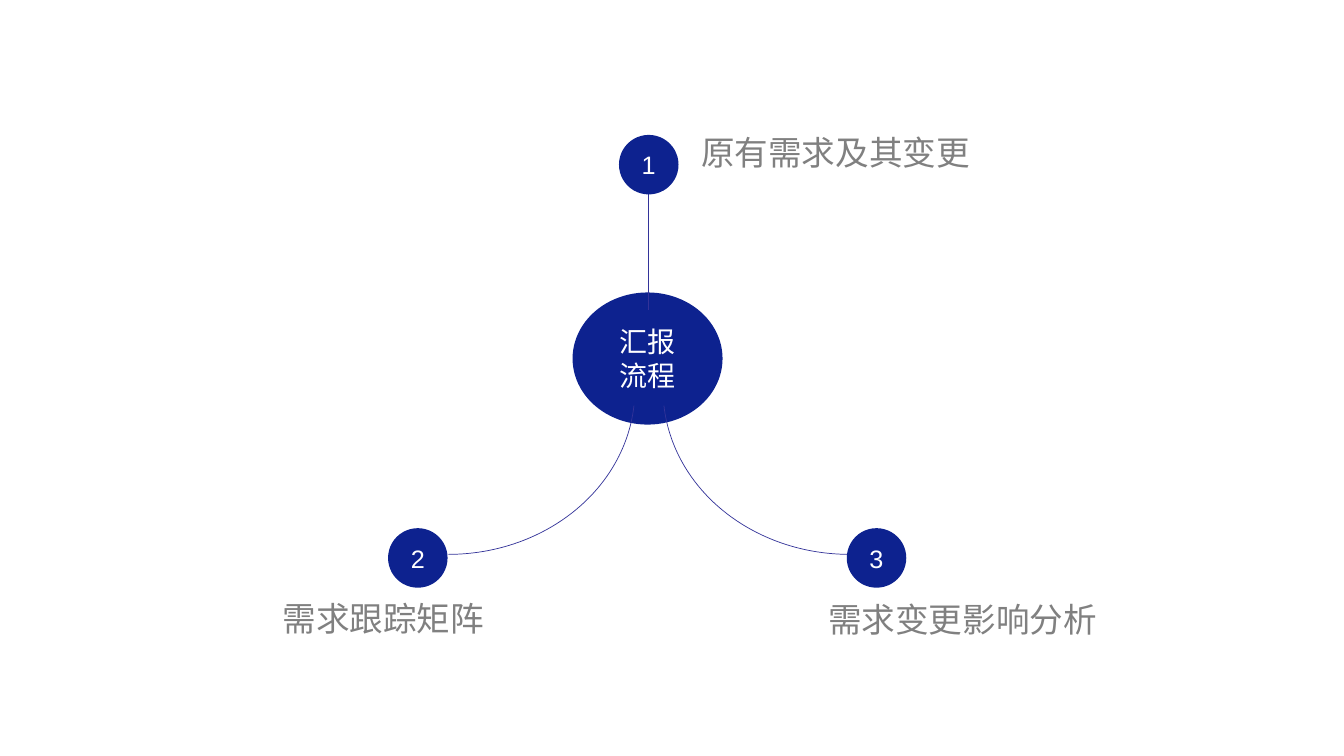
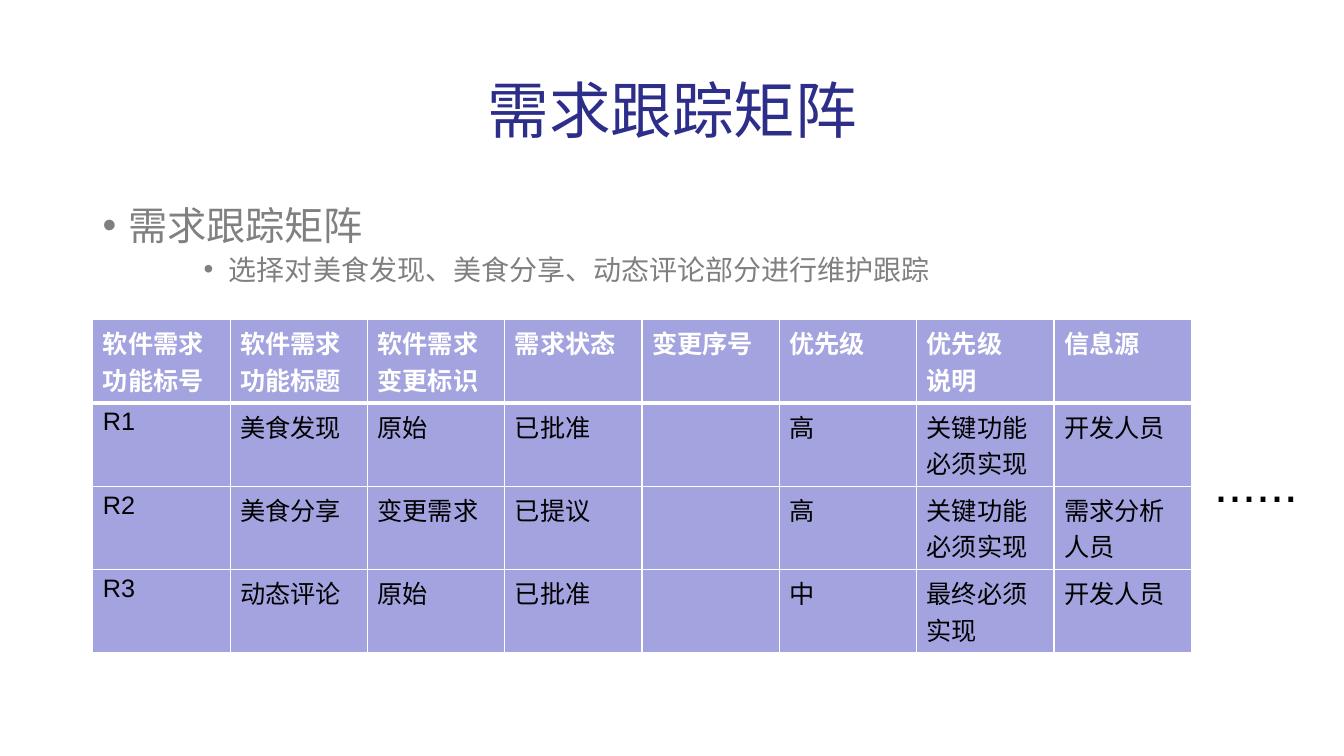
"""Build a report outline slide and a requirement tracking matrix slide."""
from lxml.etree import SubElement
from pptx import Presentation
from pptx.dml.color import RGBColor as Rgb
from pptx.enum.shapes import MSO_CONNECTOR as Link, MSO_SHAPE as Form
from pptx.enum.text import MSO_ANCHOR as Anchor, MSO_AUTO_SIZE as Fit, PP_ALIGN as Align
from pptx.oxml import parse_xml
from pptx.oxml.ns import nsdecls, qn
from pptx.util import Cm, Pt

FONT = "Arial"
HUE = {"navy": "0D228F", "line": "333399", "title": "2D2D8A", "gray": "808080",
       "cell": "A3A3E0", "white": "FFFFFF", "black": "000000"}

HUB = ("汇报\n流程", (14.43, 7.37, 3.78, 3.33))
STEPS = [
    ("原有需求及其变更", (15.6, 3.4), (17.42, 3.4, 8.41, 3.43), Align.LEFT, 0.8),
    ("需求跟踪矩阵", (9.78, 13.31), (5.64, 14.94, 6.81, 3.58), Align.RIGHT, 1.0),
    ("需求变更影响分析", (21.34, 13.31), (20.62, 14.96, 7.54, 3.58), Align.LEFT, 1.0),
]
DOT = 1.5
ARCS = [((6.6, 5.66, 9.4, 8.31), 5, 90), ((16.71, 5.66, 9.4, 8.31), 90, 175)]
STEM = (16.33, 4.88, 16.33, 7.82)

TITLE = "需求跟踪矩阵"
POINTS = [("需求跟踪矩阵", 0, 28, 10, 0.64),
          ("选择对美食发现、美食分享、动态评论部分进行维护跟踪", 2, 20, 5, 3.18)]
ROWS = [
    ("软件需求功能标号", "软件需求功能标题", "软件需求变更标识", "需求状态",
     "变更序号", "优先级", "优先级\n说明", "信息源"),
    ("R1", "美食发现", "原始", "已批准", "", "高", "关键功能\n必须实现", "开发人员"),
    ("R2", "美食分享", "变更需求", "已提议", "", "高", "关键功能必须实现", "需求分析人员"),
    ("R3", "动态评论", "原始", "已批准", "", "中", "最终必须实现", "开发人员"),
]
MORE = "......"
LEFT, WIDE = 2.34, 29.21
COL, ROW = 3.46, 2.1


def rgb(name):
    return Rgb.from_string(HUE[name])


def cms(box):
    return [Cm(n) for n in box]


def write(frame, text, size, hue, align=Align.LEFT, bold=False, lead=None, gap=None):
    for i, line in enumerate(text.split("\n")):
        para = frame.paragraphs[0] if i == 0 else frame.add_paragraph()
        para.alignment, para.line_spacing = align, lead
        para.space_before = None if gap is None else Pt(gap)
        if line:
            put(para, line, size, hue, bold)


def put(para, text, size, hue, bold=False):
    run = para.add_run()
    run.text = text
    font = run.font
    font.name, font.size, font.bold = FONT, Pt(size), bold
    font.color.rgb = rgb(hue)


def label(slide, box):
    frame = slide.shapes.add_textbox(*cms(box)).text_frame
    frame.word_wrap = True
    return frame


def disc(slide, text, box, size):
    oval = slide.shapes.add_shape(Form.OVAL, *cms(box))
    oval.shadow.inherit = False
    oval.fill.solid()
    oval.fill.fore_color.rgb = rgb("navy")
    oval.line.fill.background()
    oval.text_frame.vertical_anchor = Anchor.MIDDLE
    write(oval.text_frame, text, size, "white", Align.CENTER)


def ink(line):
    line.color.rgb = rgb("line")
    line.width = Pt(0.5)


def bullet(para, indent):
    props = para._p.get_or_add_pPr()
    props.set("marL", str(Cm(indent)))
    props.set("indent", str(-Cm(0.64)))
    SubElement(props, qn("a:buFont"), typeface=FONT)
    SubElement(props, qn("a:buChar"), char="•")


def edge(cell, row):
    props = cell._tc.get_or_add_tcPr()
    widths = {"L": 1, "R": 1, "T": 3 if row == 1 else 1, "B": 3 if row == 0 else 1}
    for i, (side, width) in enumerate(widths.items()):
        props.insert(i, parse_xml(
            f'<a:ln{side} {nsdecls("a")} w="{Pt(width)}"><a:solidFill>'
            f'<a:srgbClr val="{HUE["white"]}"/></a:solidFill></a:ln{side}>'))


def outline(deck):
    slide = deck.slides.add_slide(deck.slide_layouts[6])
    disc(slide, *HUB, 20)
    for box, start, end in ARCS:
        arc = slide.shapes.add_shape(Form.ARC, *cms(box))
        arc.shadow.inherit = False
        arc.fill.background()
        arc.adjustments[0], arc.adjustments[1] = start * 0.6, end * 0.6
        ink(arc.line)
    stem = slide.shapes.add_connector(Link.STRAIGHT, *cms(STEM))
    ink(stem.line)
    SubElement(stem._element.spPr, qn("a:effectLst"))
    for i, (text, spot, box, align, lead) in enumerate(STEPS, 1):
        disc(slide, str(i), (*spot, DOT, DOT), 18)
        write(label(slide, box), text, 24, "gray", align, lead=lead, gap=4.8)


def matrix(deck):
    slide = deck.slides.add_slide(deck.slide_layouts[5])
    title = slide.shapes.title
    title.left, title.top, title.width, title.height = cms((LEFT, 1.02, WIDE, 3.68))
    title.text_frame.auto_size = Fit.NONE
    title.text_frame.vertical_anchor = Anchor.MIDDLE
    write(title.text_frame, TITLE, 44, "title", Align.CENTER, lead=0.9)

    body = label(slide, (LEFT, 5.08, WIDE, 12.09))
    for i, (text, level, size, gap, indent) in enumerate(POINTS):
        para = body.add_paragraph() if i else body.paragraphs[0]
        para.level, para.line_spacing, para.space_before = level, 0.9, Pt(gap)
        bullet(para, indent)
        put(para, text, size, "gray")

    rows, cols = len(ROWS), len(ROWS[0])
    box = (LEFT, 8.05, COL * cols, ROW * rows)
    grid = slide.shapes.add_table(rows, cols, *cms(box)).table
    grid.horz_banding = False
    for col in grid.columns:
        col.width = Cm(COL)
    for r, texts in enumerate(ROWS):
        grid.rows[r].height = Cm(ROW)
        for c, text in enumerate(texts):
            cell = grid.cell(r, c)
            cell.fill.solid()
            cell.fill.fore_color.rgb = rgb("cell")
            edge(cell, r)
            write(cell.text_frame, text, 18, "black" if r else "white", bold=r == 0)
    write(label(slide, (30.35, 11.28, 2.92, 1.78)), MORE, 36, "black")


deck = Presentation()
deck.slide_width, deck.slide_height = Cm(33.87), Cm(19.05)
outline(deck)
matrix(deck)
deck.save("out.pptx")
